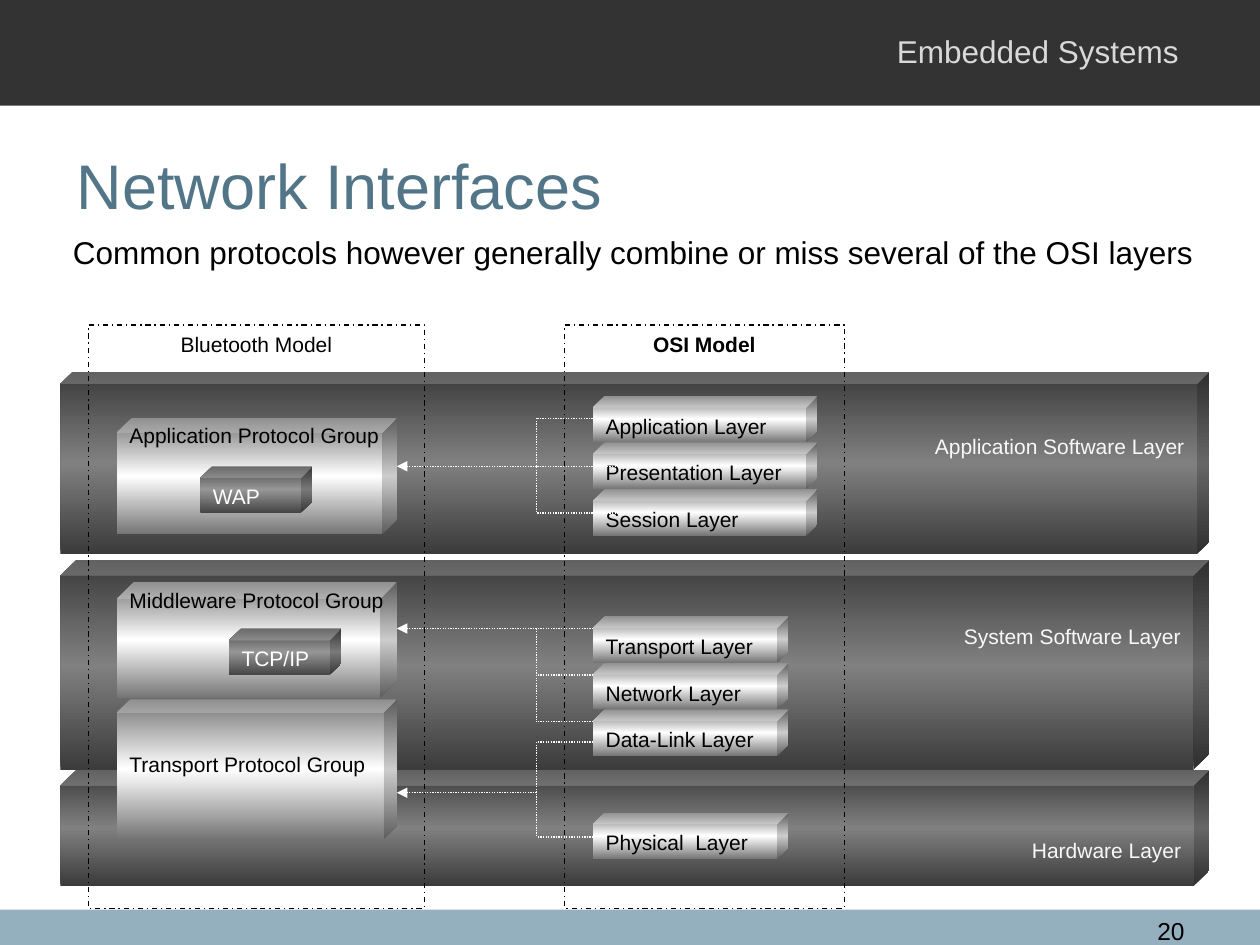
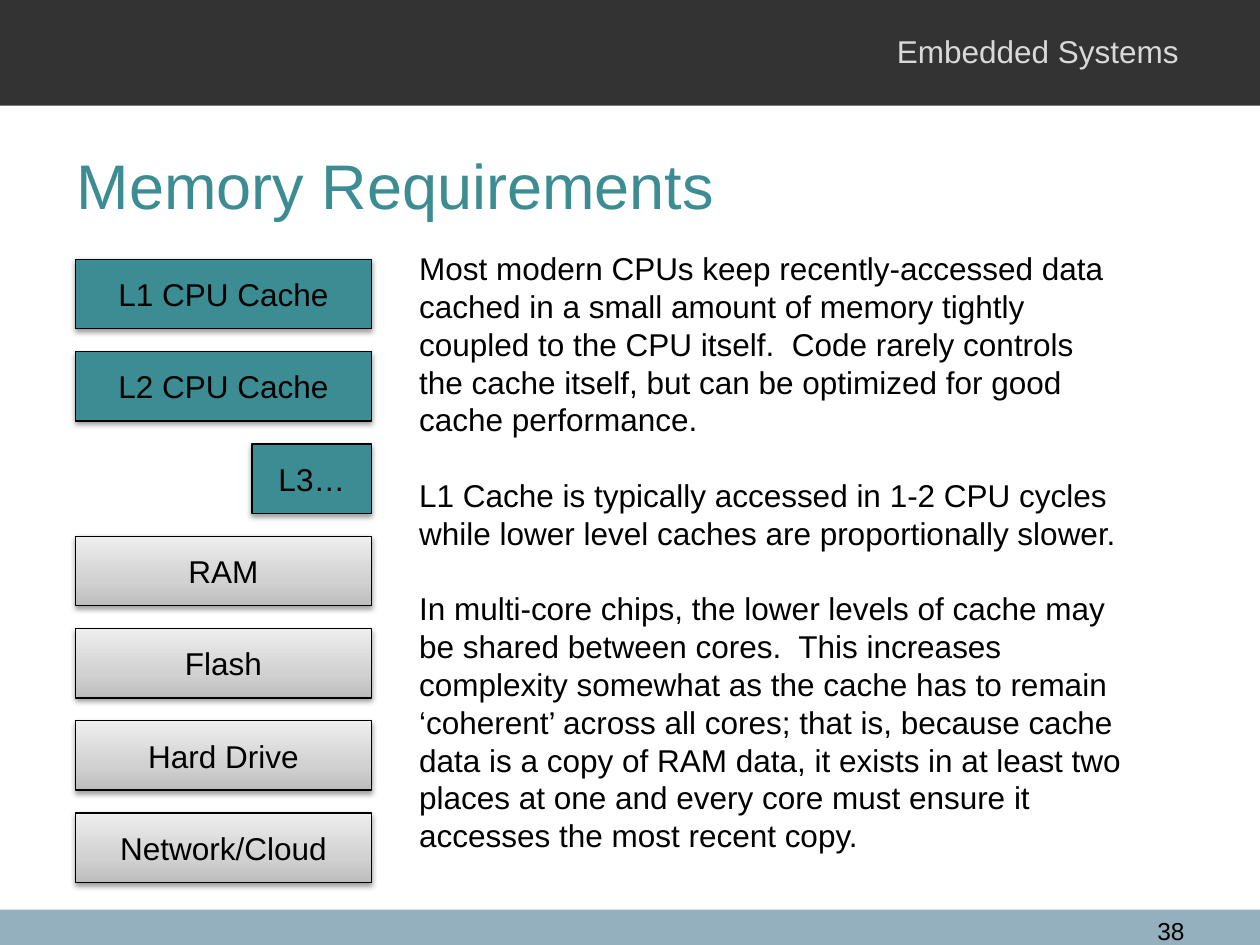
from lxml import etree
from pptx import Presentation
from pptx.dml.color import RGBColor
from pptx.enum.dml import MSO_LINE
from pptx.enum.shapes import MSO_CONNECTOR, MSO_SHAPE
from pptx.enum.text import MSO_ANCHOR, PP_ALIGN
from pptx.oxml import parse_xml
from pptx.oxml.ns import nsdecls, qn
from pptx.util import Cm, Pt

RECTANGLE, CUBE = MSO_SHAPE.RECTANGLE, MSO_SHAPE.CUBE
STRAIGHT = MSO_CONNECTOR.STRAIGHT
DASH_DOT, DOTTED = MSO_LINE.DASH_DOT, MSO_LINE.ROUND_DOT
TOP, MIDDLE = MSO_ANCHOR.TOP, MSO_ANCHOR.MIDDLE
LEFT, CENTER, RIGHT = PP_ALIGN.LEFT, PP_ALIGN.CENTER, PP_ALIGN.RIGHT

BLACK = RGBColor(0x00, 0x00, 0x00)
WHITE = RGBColor(0xFF, 0xFF, 0xFF)
OFF_WHITE = RGBColor(0xF8, 0xF8, 0xF8)
HEADER_GRAY = RGBColor(0x33, 0x33, 0x33)
HEADER_TEXT = RGBColor(0xD9, 0xD9, 0xD9)
FOOTER_BLUE = RGBColor(0x94, 0xB0, 0xBE)
SLATE = RGBColor(0x52, 0x76, 0x88)
TEAL = RGBColor(0x3C, 0x8C, 0x93)
DARK_EDGE = RGBColor(0x3B, 0x3B, 0x3B)
DARK_CORE = RGBColor(0x80, 0x80, 0x80)
LIGHT_EDGE = RGBColor(0x75, 0x75, 0x75)
TOOL_EDGE = RGBColor(0x45, 0x45, 0x45)
TOOL_CORE = RGBColor(0x96, 0x96, 0x96)
PALE_GRAY = RGBColor(0xEE, 0xEE, 0xEE)
MID_GRAY = RGBColor(0xD1, 0xD1, 0xD1)
DEEP_GRAY = RGBColor(0xBD, 0xBD, 0xBD)

DARK_METAL = [(0, DARK_EDGE), (50, DARK_CORE), (100, DARK_EDGE)]
LIGHT_METAL = [(0, LIGHT_EDGE), (50, WHITE), (100, LIGHT_EDGE)]
TOOL_METAL = [(0, TOOL_EDGE), (50, TOOL_CORE), (100, TOOL_EDGE)]
SILVER = [(0, PALE_GRAY), (65, MID_GRAY), (100, DEEP_GRAY)]

FONT = "Arial"
HALF_LINE = 0.24


def add_box(slide, kind, left, top, width, height, fill=None):
    shape = slide.shapes.add_shape(kind, Cm(left), Cm(top), Cm(width), Cm(height))
    shape.shadow.inherit = False
    shape.line.fill.background()
    if fill is None:
        shape.fill.background()
    elif isinstance(fill, RGBColor):
        shape.fill.solid()
        shape.fill.fore_color.rgb = fill
    else:
        shape.fill.background()
        stops = "".join(
            f'<a:gs pos="{position * 1000}"><a:srgbClr val="{color}"/></a:gs>'
            for position, color in fill
        )
        gradient = parse_xml(
            f'<a:gradFill {nsdecls("a")} rotWithShape="1"><a:gsLst>{stops}</a:gsLst>'
            '<a:lin ang="5400000" scaled="0"/></a:gradFill>'
        )
        properties = shape.element.spPr
        properties.replace(properties.find(qn("a:noFill")), gradient)
    return shape


def write_text(shape, texts, size, color, alignment=LEFT, anchor=TOP, wrap=True):
    frame = shape.text_frame
    frame.word_wrap = wrap
    frame.vertical_anchor = anchor
    for index, text in enumerate(texts):
        paragraph = frame.add_paragraph() if index else frame.paragraphs[0]
        paragraph.text = text
        paragraph.alignment = alignment
        paragraph.font.name = FONT
        paragraph.font.size = Pt(size)
        paragraph.font.color.rgb = color
    return frame


presentation = Presentation()
presentation.slide_width = Cm(25.4)
presentation.slide_height = Cm(19.05)

slides = []
for title, title_color, number in [
    ("Network Interfaces", SLATE, "20"),
    ("Memory Requirements", TEAL, "38"),
]:
    slide = presentation.slides.add_slide(presentation.slide_layouts[6])
    add_box(slide, RECTANGLE, 0, 18.34, 25.4, 0.71, FOOTER_BLUE)
    add_box(slide, RECTANGLE, 0, 0, 25.4, 2.13, HEADER_GRAY)
    course = slide.shapes.add_textbox(Cm(17.83), Cm(0.53), Cm(6.35), Cm(1.02))
    write_text(course, ["Embedded Systems"], 18, HEADER_TEXT)
    heading = slide.shapes.add_textbox(Cm(1.3), Cm(2.13), Cm(22.86), Cm(3.18))
    write_text(heading, [title], 36, title_color, anchor=MIDDLE)
    page = slide.shapes.add_textbox(Cm(22.5), Cm(18.34), Cm(1.63), Cm(0.61))
    write_text(page, [number], 14, BLACK, RIGHT)
    slides.append(slide)
network_slide, memory_slide = slides

subtitle = network_slide.shapes.add_textbox(Cm(1.22), Cm(4.57), Cm(23.32), Cm(1.02))
write_text(
    subtitle,
    ["Common protocols however generally combine or miss several of the OSI layers"],
    18, BLACK, wrap=False,
)

cubes = [
    ("Hardware Layer", 1.22, 15.52, 23.16, 2.34, 0.134, 1.6, DARK_METAL, OFF_WHITE, RIGHT),
    ("System Software Layer", 1.22, 11.28, 23.16, 4.24, 0.076, 1.53, DARK_METAL, OFF_WHITE, RIGHT),
    ("Application Software Layer", 1.22, 7.49, 23.16, 3.68, 0.067, 1.5, DARK_METAL, OFF_WHITE, RIGHT),
    ("Transport Protocol Group", 2.36, 14.1, 5.64, 2.82, 0.095, 1.3, LIGHT_METAL, BLACK, LEFT),
    ("Middleware Protocol Group", 2.36, 11.73, 5.64, 2.34, 0.146, 0.36, LIGHT_METAL, BLACK, LEFT),
    ("Application Protocol Group", 2.36, 8.43, 5.64, 2.34, 0.125, 0.33, LIGHT_METAL, BLACK, LEFT),
]
for layers, first_top, width in [
    (["Physical  Layer"], 16.38, 3.94),
    (["Transport Layer", "Network Layer", "Data-Link Layer"], 12.42, 3.94),
    (["Application Layer", "Presentation Layer", "Session Layer"], 7.98, 4.52),
]:
    for row, layer in enumerate(layers):
        cubes.append((layer, 11.96, first_top + row * 0.94, width, 0.94,
                      0.25, 0.59, LIGHT_METAL, BLACK, LEFT))
for tool, left, top in [("TCP/IP", 4.62, 12.67), ("WAP", 4.04, 9.4)]:
    cubes.append((tool, left, top, 2.26, 0.94, 0.25, 0.59, TOOL_METAL, WHITE, LEFT))

for label, left, top, width, height, depth, label_drop, fill, color, alignment in cubes:
    cube = add_box(network_slide, CUBE, left, top, width, height, fill)
    cube.adjustments[0] = depth
    frame = write_text(cube, [label], 12, color, alignment, wrap=False)
    frame.margin_top = Cm(label_drop - HALF_LINE - depth * height)

for model, left, width, bold in [
    ("Bluetooth Model", 1.78, 6.78, False),
    ("OSI Model", 11.38, 5.64, True),
]:
    model_frame = add_box(network_slide, RECTANGLE, left, 6.55, width, 11.76)
    model_frame.line.color.rgb = BLACK
    model_frame.line.width = Pt(0.75)
    model_frame.line.dash_style = DASH_DOT
    frame = write_text(model_frame, [model], 12, BLACK, CENTER)
    frame.paragraphs[0].font.bold = bold

BUS_X, ARROW_X = 10.82, 8
for layer_x, branch_rows, arrow_y in [
    (12.52, [8.43, 9.4, 10.34], 9.4),
    (11.96, [12.67, 13.61, 14.55], 12.67),
    (11.96, [14.96, 16.87], 15.98),
]:
    lines = [(layer_x, y, BUS_X, y) for y in branch_rows]
    lines.append((BUS_X, branch_rows[0], BUS_X, branch_rows[-1]))
    lines.append((BUS_X, arrow_y, ARROW_X, arrow_y))
    for start_x, start_y, end_x, end_y in lines:
        connector = network_slide.shapes.add_connector(
            STRAIGHT, Cm(start_x), Cm(start_y), Cm(end_x), Cm(end_y)
        )
        connector.line.color.rgb = WHITE
        connector.line.width = Pt(0.75)
        connector.line.dash_style = DOTTED
        if end_x == ARROW_X:
            outline = connector.line._get_or_add_ln()
            etree.SubElement(outline, qn("a:tailEnd"), type="triangle")
        etree.SubElement(connector.element.spPr, qn("a:effectLst"))

explanation = memory_slide.shapes.add_textbox(Cm(8.2), Cm(4.9), Cm(14.68), Cm(12.57))
frame = write_text(
    explanation,
    [
        "Most modern CPUs keep recently-accessed data cached in a small amount of memory "
        "tightly coupled to the CPU itself.  Code rarely controls the cache itself, but can "
        "be optimized for good cache performance.",
        "L1 Cache is typically accessed in 1-2 CPU cycles while lower level caches are "
        "proportionally slower.",
        "In multi-core chips, the lower levels of cache may be shared between cores.  This "
        "increases complexity somewhat as the cache has to remain ‘coherent’ across all "
        "cores; that is, because cache data is a copy of RAM data, it exists in at least two "
        "places at one and every core must ensure it accesses the most recent copy.",
    ],
    18, BLACK,
)
for index, paragraph in enumerate(frame.paragraphs):
    paragraph.line_spacing = Pt(21.6)
    paragraph.space_before = Pt(21.6 if index else 0)

MEMORY_RIGHT = 7.49
for row, (memory, width, fill) in enumerate([
    ("L1 CPU Cache", 5.97, TEAL),
    ("L2 CPU Cache", 5.97, TEAL),
    ("L3…", 2.41, TEAL),
    ("RAM", 5.97, SILVER),
    ("Flash", 5.97, SILVER),
    ("Hard Drive", 5.97, SILVER),
    ("Network/Cloud", 5.97, SILVER),
]):
    box = add_box(memory_slide, RECTANGLE, MEMORY_RIGHT - width, 5.23 + row * 1.86, width, 1.4, fill)
    box.line.color.rgb = BLACK
    box.line.width = Pt(0.75)
    write_text(box, [memory], 18, BLACK, CENTER, MIDDLE)
    effects = box.element.spPr.find(qn("a:effectLst"))
    effects.append(parse_xml(
        f'<a:outerShdw {nsdecls("a")} blurRad="40000" dist="20000" dir="5400000" rotWithShape="0">'
        f'<a:srgbClr val="{BLACK}"><a:alpha val="38000"/></a:srgbClr></a:outerShdw>'
    ))

presentation.save("out.pptx")
